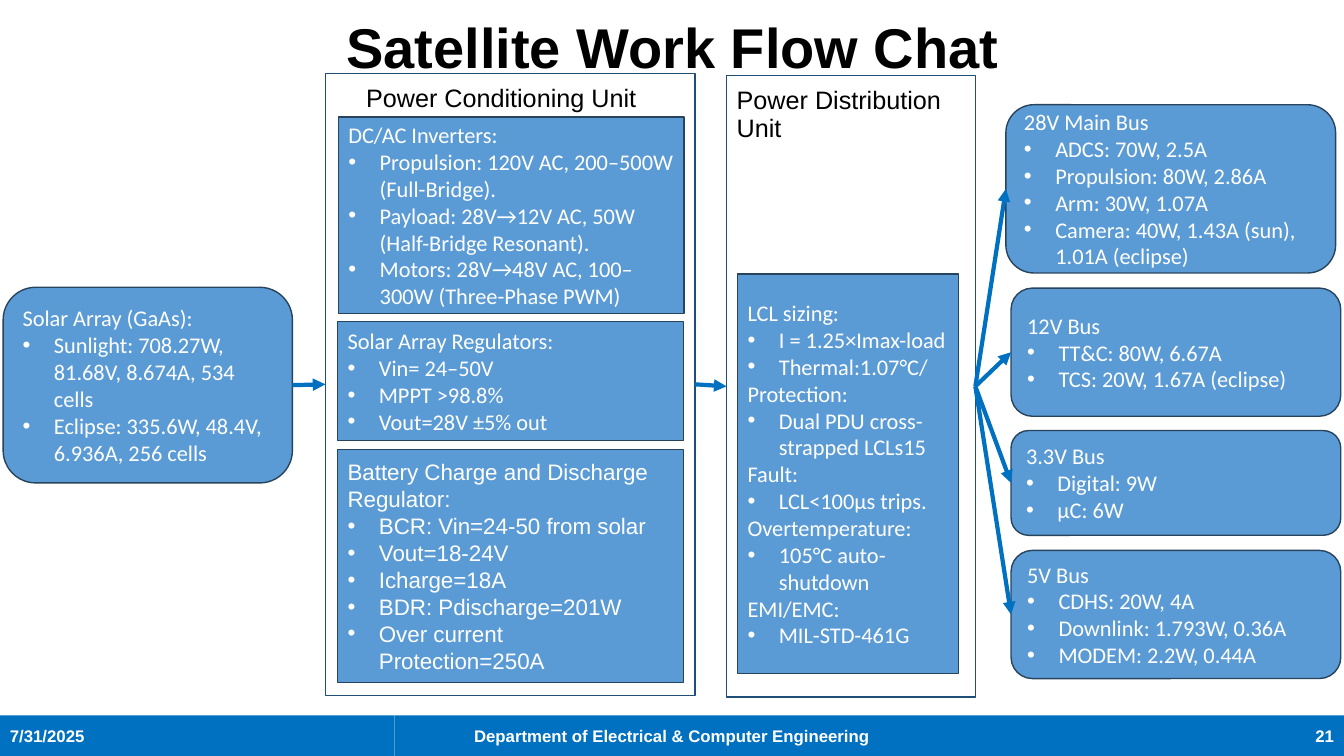
from lxml.etree import SubElement
from pptx import Presentation
from pptx.dml.color import RGBColor
from pptx.enum.shapes import MSO_CONNECTOR, MSO_SHAPE
from pptx.enum.text import MSO_ANCHOR, MSO_AUTO_SIZE, PP_ALIGN
from pptx.oxml.ns import qn
from pptx.util import Cm, Pt

RECT, ROUND = MSO_SHAPE.RECTANGLE, MSO_SHAPE.ROUNDED_RECTANGLE
BLUE, BOX_FILL, BOX_EDGE, FRAME_EDGE = "0070C0", "5B9BD5", "28445D", "1F4E79"
WHITE, BLACK = "FFFFFF", "000000"
NO_GRID_STYLE = "{2D5ABB26-0587-4C30-8999-92F81FD0307C}"
TOP, LEFT, BOTTOM, RIGHT = range(4)

TITLE = "Satellite Work Flow Chat"
FOOTER = [
    ("7/31/2025", 9.95, PP_ALIGN.LEFT),
    ("Department of Electrical & Computer Engineering", 13.97, PP_ALIGN.CENTER),
    ("21", 9.95, PP_ALIGN.RIGHT),
]
FRAMES = {
    "conditioning": (8.2, 1.85, 9.32, 15.67),
    "distribution": (18.31, 1.9, 6.27, 15.67),
}
FRAME_TITLES = [
    (["Power Conditioning Unit"], (8.97, 2.01, 8.59, 1.04)),
    (["Power Distribution", "Unit"], (18.31, 2.06, 6.27, 1.78)),
]
SOLAR = [("Solar Array (GaAs):", ["Sunlight: 708.27W, 81.68V, 8.674A, 534 cells",
                                  "Eclipse: 335.6W, 48.4V, 6.936A, 256 cells"])]
SOLAR_AREA = (0.08, 7.24, 7.29, 4.93)
UNITS = [
    ((8.53, 2.95, 8.71, 4.95), "Calibri", [
        ("DC/AC Inverters:", ["Propulsion: 120V AC, 200–500W (Full-Bridge).",
                              "Payload: 28V→12V AC, 50W (Half-Bridge Resonant).",
                              "Motors: 28V→48V AC, 100–300W (Three-Phase PWM)"])]),
    ((8.51, 8.1, 8.71, 3), "Calibri", [
        ("Solar Array Regulators:", ["Vin= 24–50V", "MPPT >98.8%", "Vout=28V ±5% out"])]),
    ((8.51, 11.33, 8.71, 5.87), "Arial", [
        ("Battery Charge and Discharge Regulator:", [
            "BCR: Vin=24-50 from solar", "Vout=18-24V", "Icharge=18A",
            "BDR: Pdischarge=201W", "Over current Protection=250A"])]),
    ((18.59, 6.91, 5.56, 10.06), "Calibri", [
        ("LCL sizing:", ["I = 1.25×Imax-load", "Thermal:1.07°C/"]),
        ("Protection:", ["Dual PDU cross-strapped LCLs15"]),
        ("Fault:", ["LCL<100µs trips."]),
        ("Overtemperature:", ["105°C auto-shutdown"]),
        ("EMI/EMC:", ["MIL-STD-461G"])]),
]
BUSES = [
    ((25.35, 2.64, 8.31, 4.24), "28V Main Bus", [
        "ADCS: 70W, 2.5A", "Propulsion: 80W, 2.86A", "Arm: 30W, 1.07A",
        "Camera: 40W, 1.43A (sun), 1.01A (eclipse)"]),
    ((25.48, 7.26, 8.31, 3.23), "12V Bus", ["TT&C: 80W, 6.67A", "TCS: 20W, 1.67A (eclipse)"]),
    ((25.48, 10.85, 8.31, 2.64), "3.3V Bus", ["Digital: 9W", "µC: 6W"]),
    ((25.48, 13.87, 8.31, 3.23), "5V Bus", [
        "CDHS: 20W, 4A", "Downlink: 1.793W, 0.36A", "MODEM: 2.2W, 0.44A"]),
]


def color(hex_code):
    return RGBColor.from_string(hex_code)


def cm(area):
    return [Cm(length) for length in area]


def add_run(paragraph, words, size, font, ink, bold=False):
    run = paragraph.add_run()
    run.text = words
    run.font.size, run.font.name, run.font.bold = Pt(size), font, bold
    run.font.color.rgb = color(ink)


def next_paragraph(frame, index):
    return frame.add_paragraph() if index else frame.paragraphs[0]


def add_box(slide, preset, area, fill, edge=None):
    box = slide.shapes.add_shape(preset, *cm(area))
    box.shadow.inherit = False
    box.fill.solid()
    box.fill.fore_color.rgb = color(fill)
    if edge:
        box.line.color.rgb = color(edge)
        box.line.width = Pt(1)
    else:
        box.line.fill.background()
    box.text_frame.word_wrap = True
    box.text_frame.vertical_anchor = MSO_ANCHOR.MIDDLE
    return box


def make_bullet(paragraph):
    props = paragraph._p.get_or_add_pPr()
    props.set("marL", str(Cm(0.79)))
    props.set("indent", str(-Cm(0.79)))
    SubElement(props, qn("a:buFont")).set("typeface", "Arial")
    SubElement(props, qn("a:buChar")).set("char", "•")


def add_list_box(slide, preset, area, font, sections):
    box = add_box(slide, preset, area, BOX_FILL, BOX_EDGE)
    lines = []
    for heading, points in sections:
        lines += [(heading, False)] + [(point, True) for point in points]
    for index, (words, bulleted) in enumerate(lines):
        paragraph = next_paragraph(box.text_frame, index)
        paragraph.alignment = PP_ALIGN.LEFT
        if bulleted:
            make_bullet(paragraph)
        add_run(paragraph, words, 16, font, WHITE)
    return box


def add_frame_title(slide, lines, area):
    table = slide.shapes.add_table(1, 1, *cm(area)).table
    table.first_row = table.horz_banding = False
    table._tbl.tblPr.find(qn("a:tableStyleId")).text = NO_GRID_STYLE
    cell = table.cell(0, 0)
    cell.fill.background()
    for index, words in enumerate(lines):
        add_run(next_paragraph(cell.text_frame, index), words, 18, "Arial", BLACK)


def add_arrow(slide, source, target):
    arrow = slide.shapes.add_connector(MSO_CONNECTOR.STRAIGHT, 0, 0, 0, 0)
    arrow.begin_connect(source, RIGHT)
    arrow.end_connect(target, LEFT)
    arrow.line.color.rgb = color(BLUE)
    arrow.line.width = Pt(3)
    SubElement(arrow.line._get_or_add_ln(), qn("a:tailEnd")).set("type", "triangle")
    SubElement(arrow._element.spPr, qn("a:effectLst"))


def add_title(slide):
    title = slide.shapes.title
    title.left, title.top, title.width, title.height = cm((2.34, -0.58, 29.21, 3.68))
    frame = title.text_frame
    frame.word_wrap = True
    frame.auto_size = MSO_AUTO_SIZE.NONE
    frame.vertical_anchor = MSO_ANCHOR.MIDDLE
    heading = frame.paragraphs[0]
    heading.alignment = PP_ALIGN.CENTER
    heading.line_spacing = 0.9
    add_run(heading, TITLE, 40, "Arial", BLACK, True)


def add_footer(slide):
    left = 0
    for words, width, alignment in FOOTER:
        band = add_box(slide, RECT, (left, 18.03, width, 1.02), BLUE)
        paragraph = band.text_frame.paragraphs[0]
        paragraph.alignment = alignment
        add_run(paragraph, words, 12, "Arial", WHITE, True)
        left += width


def main():
    deck = Presentation()
    deck.slide_width, deck.slide_height = Cm(33.87), Cm(19.05)
    slide = deck.slides.add_slide(deck.slide_layouts[5])
    add_title(slide)
    add_footer(slide)
    solar = add_list_box(slide, ROUND, SOLAR_AREA, "Calibri", SOLAR)
    frames = {unit: add_box(slide, RECT, area, WHITE, FRAME_EDGE)
              for unit, area in FRAMES.items()}
    for area, font, sections in UNITS:
        add_list_box(slide, RECT, area, font, sections)
    buses = [add_list_box(slide, ROUND, area, "Calibri", [(bus, loads)])
             for area, bus, loads in BUSES]
    for lines, area in FRAME_TITLES:
        add_frame_title(slide, lines, area)
    add_arrow(slide, solar, frames["conditioning"])
    add_arrow(slide, frames["conditioning"], frames["distribution"])
    for bus in buses:
        add_arrow(slide, frames["distribution"], bus)
    deck.save("out.pptx")


if __name__ == "__main__":
    main()
